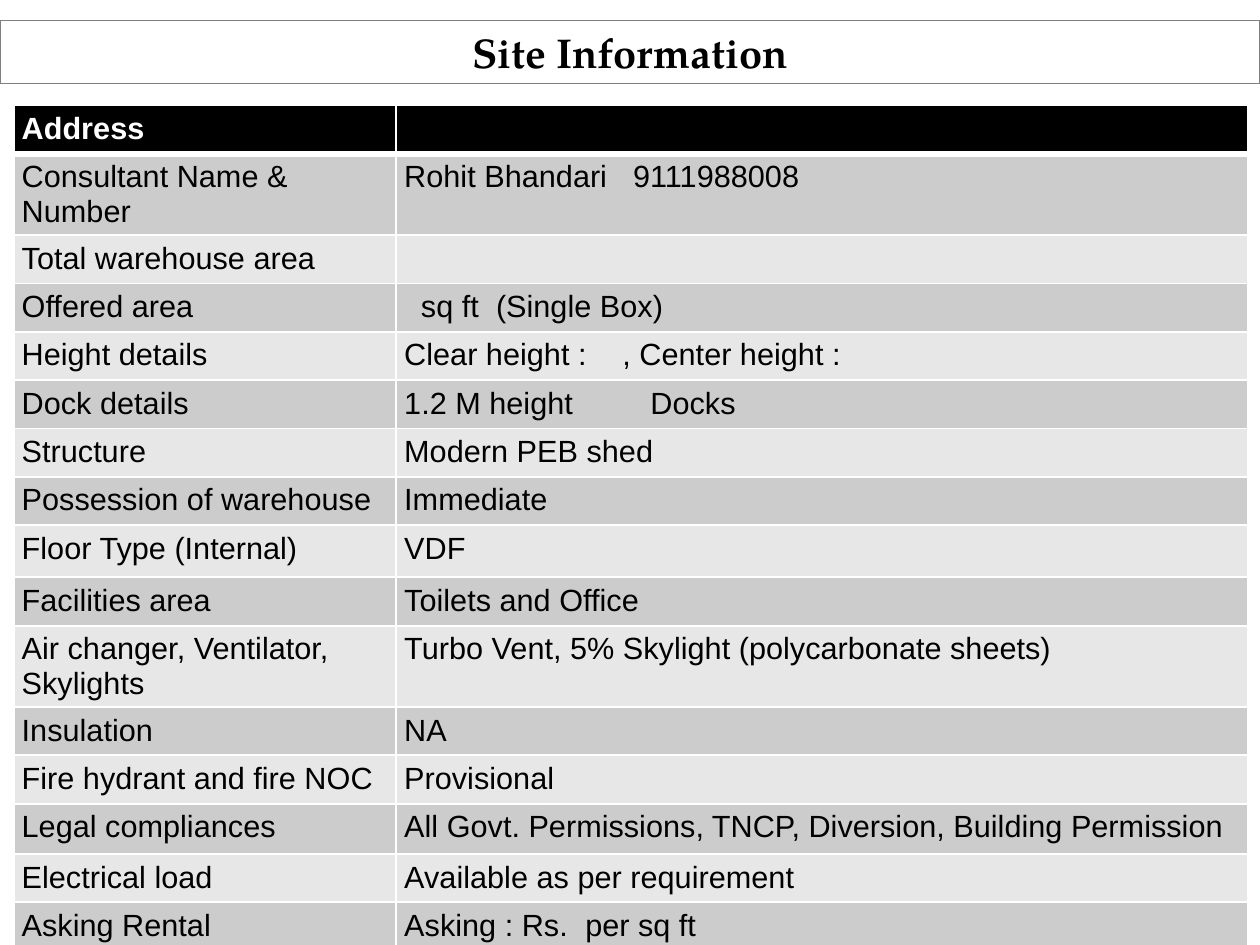
from lxml.etree import SubElement
from pptx import Presentation
from pptx.dml.color import RGBColor
from pptx.enum.text import MSO_ANCHOR, MSO_AUTO_SIZE, PP_ALIGN
from pptx.oxml.ns import qn
from pptx.util import Cm, Pt

SITE_ROWS = [
    ("Address", ""),
    ("Consultant Name & Number", "Rohit Bhandari\t9111988008"),
    ("Total warehouse area", ""),
    ("Offered area", "\tsq ft\t(Single Box)"),
    ("Height details", "Clear height :\t, Center height :"),
    ("Dock details", "1.2 M height\tDocks"),
    ("Structure", "Modern PEB shed"),
    ("Possession of warehouse", "Immediate"),
    ("Floor Type (Internal)", "VDF"),
    ("Facilities area", "Toilets and Office"),
    ("Air changer, Ventilator, Skylights",
     "Turbo Vent, 5% Skylight (polycarbonate sheets)"),
    ("Insulation", "NA"),
    ("Fire hydrant and fire NOC", "Provisional"),
    ("Legal compliances",
     "All Govt. Permissions, TNCP, Diversion, Building Permission"),
    ("Electrical load", "Available as per requirement"),
    ("Asking Rental", "Asking : Rs.\tper sq ft"),
]
TAB_STOPS = {
    "Consultant Name & Number": [3.69],
    "Offered area": [0.27, 1.48],
    "Height details": [3.52],
    "Dock details": [3.97],
    "Asking Rental": [2.92],
}
TALL_ROWS = {"Floor Type (Internal)": 0.84, "Legal compliances": 0.81}
ROW_HEIGHT = 0.78
LABEL_SHARE = 0.31


def color(value):
    return RGBColor.from_string(value)


def set_fill(target, value):
    target.fill.solid()
    target.fill.fore_color.rgb = color(value)


def set_font(para, name, size, value, bold):
    para.font.name = name
    para.font.size = Pt(size)
    para.font.color.rgb = color(value)
    para.font.bold = bold


def set_margins(target, side, end):
    target.margin_left = target.margin_right = Cm(side)
    target.margin_top = target.margin_bottom = Cm(end)


def add_tab_stops(para, stops):
    tabs = SubElement(para._p.get_or_add_pPr(), qn("a:tabLst"))
    for stop in stops:
        SubElement(tabs, qn("a:tab"), pos=str(Cm(stop)), algn="l")


def add_borders(cell, widths):
    properties = cell._tc.get_or_add_tcPr()
    for index, (side, width) in enumerate(zip("LRTB", widths)):
        line = properties.makeelement(qn(f"a:ln{side}"), {"w": str(Pt(width))})
        solid = SubElement(line, qn("a:solidFill"))
        SubElement(solid, qn("a:srgbClr"), val="FFFFFF")
        properties.insert(index, line)


def place_title(page, left, top, width, height):
    title = page.shapes.title
    title.left, title.top = Cm(left), Cm(top)
    title.width, title.height = Cm(width), Cm(height)
    set_fill(title, "FFFFFF")
    title.line.color.rgb = color("808080")
    title.line.width = Pt(0.75)
    frame = title.text_frame
    frame.text = "Site Information"
    frame.auto_size = MSO_AUTO_SIZE.NONE
    frame.vertical_anchor = MSO_ANCHOR.MIDDLE
    set_margins(frame, 0.2, 0.1)
    para = frame.paragraphs[0]
    para.alignment = PP_ALIGN.CENTER
    set_font(para, "TeX Gyre Pagella", 19, "000000", True)


def format_cell(cell, text, row_index, stops):
    is_header = row_index == 0
    band = "CCCCCC" if row_index % 2 else "E7E7E7"
    set_fill(cell, "000000" if is_header else band)
    set_margins(cell, 0.13, 0.1)
    top = 3 if row_index == 1 else 1
    add_borders(cell, (1, 1, top, 3 if is_header else 1))
    cell.text = text
    para = cell.text_frame.paragraphs[0]
    if stops:
        add_tab_stops(para, stops)
    set_font(para, "Arial", 14, "FFFFFF" if is_header else "000000", is_header)


def add_site_table(page, left, top, width):
    heights = [TALL_ROWS.get(label, ROW_HEIGHT) for label, _ in SITE_ROWS]
    table = page.shapes.add_table(
        len(SITE_ROWS), 2, Cm(left), Cm(top), Cm(width), Cm(sum(heights))
    ).table
    table.first_row = table.horz_banding = False
    table.columns[0].width = Cm(width * LABEL_SHARE)
    table.columns[1].width = Cm(width * (1 - LABEL_SHARE))
    for row_index, (label, value) in enumerate(SITE_ROWS):
        table.rows[row_index].height = Cm(heights[row_index])
        format_cell(table.cell(row_index, 0), label, row_index, [])
        format_cell(table.cell(row_index, 1), value, row_index,
                    TAB_STOPS.get(label, []))


def build_site_page(deck):
    page = deck.slides.add_slide(deck.slide_layouts[5])
    page.background.fill.solid()
    page.background.fill.fore_color.rgb = color("FFFFFF")
    place_title(page, 0, 0.33, 20.32, 1.02)
    add_site_table(page, 0.22, 1.7, 19.9)


deck = Presentation()
deck.slide_width, deck.slide_height = Cm(20.32), Cm(15.24)
build_site_page(deck)
deck.save("out.pptx")
